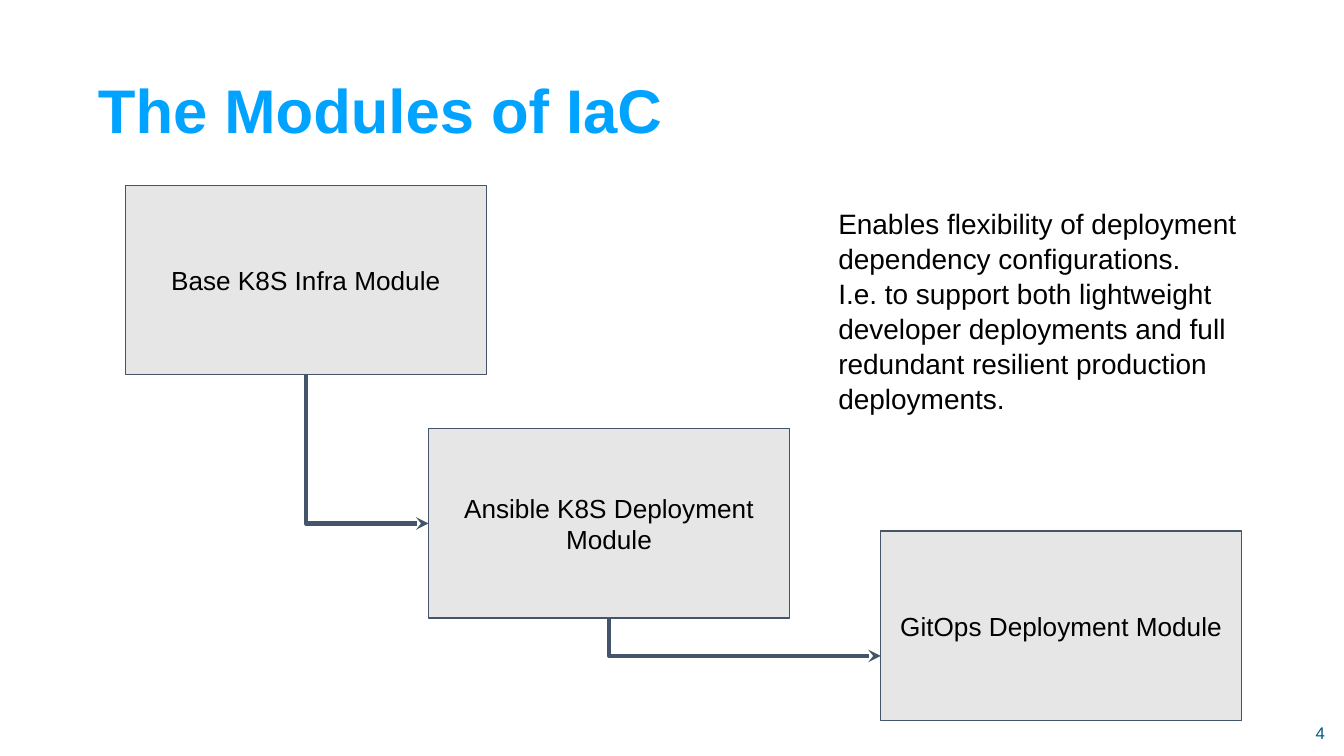
from lxml.etree import SubElement
from pptx import Presentation
from pptx.dml.color import RGBColor
from pptx.enum.shapes import MSO_CONNECTOR, MSO_SHAPE
from pptx.enum.text import MSO_ANCHOR, MSO_AUTO_SIZE, PP_ALIGN
from pptx.oxml.ns import qn
from pptx.util import Pt


def rgb(value):
    return RGBColor.from_string(value)


def apply(obj, values):
    for name, value in values.items():
        setattr(obj, name, value)


class Deck:
    FONT = "Arial"
    BLACK = "000000"
    GREY = "E7E6E6"
    SLATE = "44546A"
    BLUE = "00A3FF"
    TEAL = "005A83"

    def __init__(self, width, height):
        self.prs = Presentation()
        apply(self.prs, {"slide_width": Pt(width), "slide_height": Pt(height)})
        self.s = self.prs.slides.add_slide(self.prs.slide_layouts[5])

    def fill_text(self, sp, lines, size, color, inset, bold=False,
                  align=PP_ALIGN.LEFT, anchor=MSO_ANCHOR.MIDDLE, spacing=None):
        tf = sp.text_frame
        apply(tf, {
            "word_wrap": True,
            "auto_size": MSO_AUTO_SIZE.NONE,
            "vertical_anchor": anchor,
            "margin_left": Pt(inset[0]),
            "margin_right": Pt(inset[0]),
            "margin_top": Pt(inset[1]),
            "margin_bottom": Pt(inset[1]),
        })
        for i, line in enumerate(lines):
            p = tf.add_paragraph() if i else tf.paragraphs[0]
            apply(p, {"alignment": align, "line_spacing": spacing})
            r = p.add_run()
            r.text = line
            apply(r.font, {"name": self.FONT, "size": Pt(size), "bold": bold})
            r.font.color.rgb = rgb(color)

    def title(self, text, left, top, width, height):
        sp = self.s.shapes.title
        apply(sp, {"left": Pt(left), "top": Pt(top),
                   "width": Pt(width), "height": Pt(height)})
        self.fill_text(sp, [text], 33, self.BLUE, (3, 1.5), bold=True, spacing=0.9)

    def text(self, lines, left, top, width, height, **style):
        sp = self.s.shapes.add_textbox(Pt(left), Pt(top), Pt(width), Pt(height))
        self.fill_text(sp, lines, **style)

    def box(self, text, left, top, width, height):
        sp = self.s.shapes.add_shape(
            MSO_SHAPE.RECTANGLE, Pt(left), Pt(top), Pt(width), Pt(height))
        sp.shadow.inherit = False
        sp.fill.solid()
        sp.fill.fore_color.rgb = rgb(self.GREY)
        sp.line.color.rgb = rgb(self.SLATE)
        sp.line.width = Pt(0.75)
        self.fill_text(sp, [text], 14, self.BLACK, (7.2, 7.2), align=PP_ALIGN.CENTER)

    def elbow(self, x1, y1, x2, y2):
        mid_x, mid_y = (x1 + x2) / 2, (y1 + y2) / 2
        half_w, half_h = (y2 - y1) / 2, (x2 - x1) / 2
        sp = self.s.shapes.add_connector(
            MSO_CONNECTOR.ELBOW, Pt(mid_x - half_w), Pt(mid_y - half_h),
            Pt(mid_x + half_w), Pt(mid_y + half_h))
        sp.line.color.rgb = rgb(self.SLATE)
        sp.line.width = Pt(2.25)
        pr = sp._element.spPr
        pr.find(qn("a:prstGeom")).set("prst", "bentConnector2")
        xfrm = pr.find(qn("a:xfrm"))
        xfrm.set("rot", "16200000")
        xfrm.set("flipH", "1")
        SubElement(pr.find(qn("a:ln")), qn("a:tailEnd"), type="stealth")
        SubElement(pr, qn("a:effectLst"))


def main():
    deck = Deck(720, 405)
    deck.title("The Modules of IaC", 49.5, 21.5, 557.5, 78.5)

    box_w, box_h = 193.3, 101.5
    modules = [
        ("Base K8S Infra Module", 67.2, 99.3),
        ("Ansible K8S Deployment Module", 229.6, 229.7),
        ("GitOps Deployment Module", 471.8, 284.5),
    ]
    for text, left, top in modules:
        deck.box(text, left, top, box_w, box_h)

    entries = [box_h / 2, 66.9]
    for (_, x1, y1), (_, x2, y2), entry in zip(modules, modules[1:], entries):
        deck.elbow(x1 + box_w / 2, y1 + box_h, x2, y2 + entry)

    deck.text(
        ["Enables flexibility of deployment dependency configurations.",
         "I.e. to support both lightweight developer deployments and full "
         "redundant resilient production deployments."],
        442, 103, 247.7, 124, size=15, color=deck.BLACK, inset=(7.2, 7.2),
        anchor=MSO_ANCHOR.TOP, spacing=1.04)
    deck.text(["4"], 550.8, 381.6, 162, 21.6, size=9, color=deck.TEAL,
              inset=(3, 1.5), align=PP_ALIGN.RIGHT)
    deck.prs.save("out.pptx")


if __name__ == "__main__":
    main()
